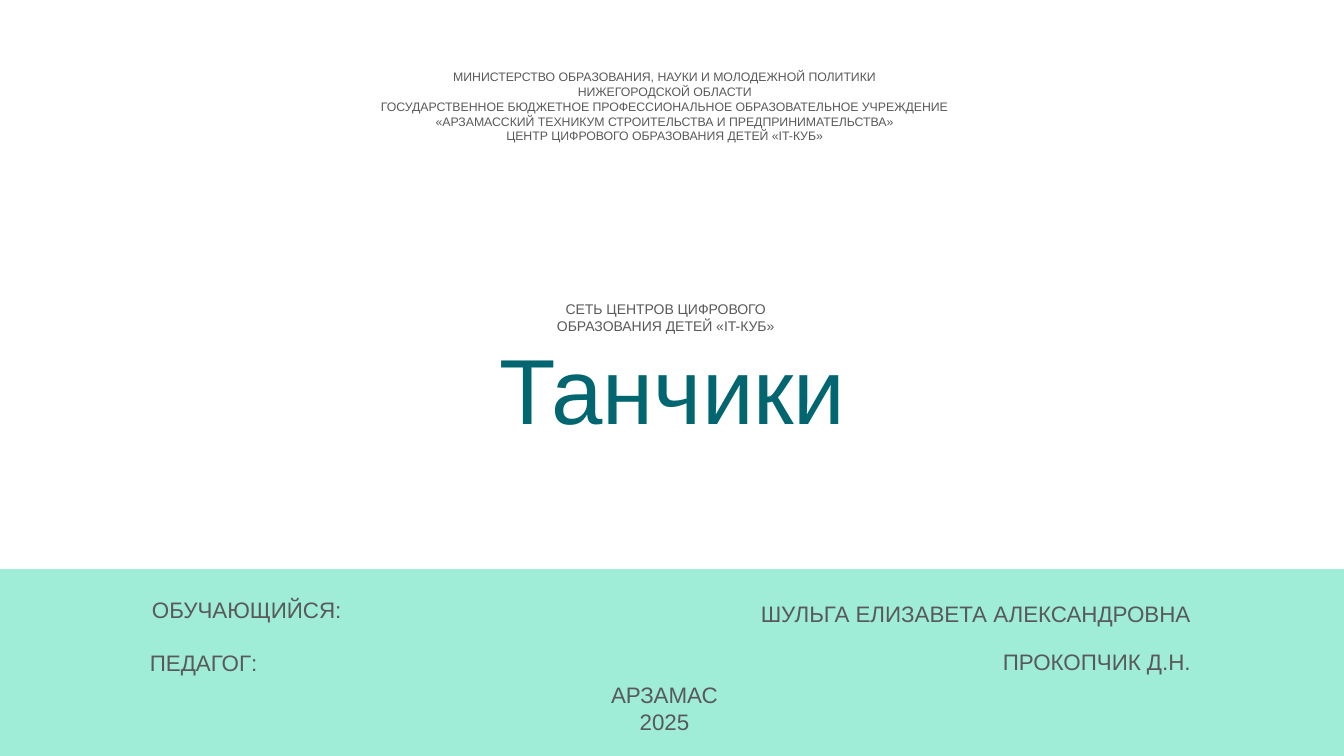
import dataclasses

import pptx
import pptx.dml.color
import pptx.enum.shapes
import pptx.enum.text
import pptx.util

Cm = pptx.util.Cm
Pt = pptx.util.Pt
Align = pptx.enum.text.PP_ALIGN

FONT = "Arial"
GREY, TEAL, MINT, WHITE = "595959", "026670", "9FEDD7", "FFFFFF"


@dataclasses.dataclass(frozen=True)
class Band:
    """A filled strip with its place in centimetres."""
    left: float
    top: float
    width: float
    height: float
    color: str
    line_width: float = 0


@dataclasses.dataclass(frozen=True)
class Label:
    """A text with its place in centimetres and its format."""
    text: str
    left: float
    top: float
    width: float
    height: float
    size: float = 16
    color: str = GREY
    align: Align = Align.CENTER


def rgb(value: str) -> pptx.dml.color.RGBColor:
    return pptx.dml.color.RGBColor.from_string(value)


def write_text(frame, text: str, *, size: float, color: str,
               align: Align) -> None:
    """Fill the frame: \\n starts a paragraph, \\v breaks a line."""
    frame.word_wrap = True
    frame.vertical_anchor = pptx.enum.text.MSO_ANCHOR.BOTTOM
    frame.text = text
    for paragraph in frame.paragraphs:
        paragraph.alignment = align
        for run in paragraph.runs:
            run.font.name = FONT
            run.font.size = Pt(size)
            run.font.color.rgb = rgb(color)


def draw_label(slide, label: Label) -> None:
    box = slide.shapes.add_textbox(Cm(label.left), Cm(label.top),
                                   Cm(label.width), Cm(label.height))
    write_text(box.text_frame, label.text, size=label.size, color=label.color,
               align=label.align)


def draw_band(slide, band: Band) -> None:
    strip = slide.shapes.add_shape(pptx.enum.shapes.MSO_SHAPE.RECTANGLE,
                                   Cm(band.left), Cm(band.top),
                                   Cm(band.width), Cm(band.height))
    strip.shadow.inherit = False
    strip.fill.solid()
    strip.fill.fore_color.rgb = rgb(band.color)
    if band.line_width:
        strip.line.color.rgb = rgb(band.color)
        strip.line.width = Pt(band.line_width)
    else:
        strip.line.fill.background()


# Footer band and the white strip under the project title
BANDS = [
    Band(0, 14.34, 33.87, 5.16, MINT),
    Band(2.87, 11.73, 29.16, 0.97, WHITE, line_width=1.25),
]

MINISTRY = "\n".join([
    "МИНИСТЕРСТВО ОБРАЗОВАНИЯ, НАУКИ И МОЛОДЕЖНОЙ ПОЛИТИКИ",
    "НИЖЕГОРОДСКОЙ ОБЛАСТИ",
    "ГОСУДАРСТВЕННОЕ БЮДЖЕТНОЕ ПРОФЕССИОНАЛЬНОЕ ОБРАЗОВАТЕЛЬНОЕ УЧРЕЖДЕНИЕ",
    "«АРЗАМАССКИЙ ТЕХНИКУМ СТРОИТЕЛЬСТВА И ПРЕДПРИНИМАТЕЛЬСТВА»",
    "ЦЕНТР ЦИФРОВОГО ОБРАЗОВАНИЯ ДЕТЕЙ «IT-КУБ»",
])

LABELS = [
    # Institution and project title
    Label("СЕТЬ ЦЕНТРОВ ЦИФРОВОГО\vОБРАЗОВАНИЯ ДЕТЕЙ «IT-КУБ»",
          12.94, 7.35, 7.67, 1.19, size=10),
    Label(MINISTRY, 8.93, 1.38, 15.65, 2.36, size=8.8),
    Label("Танчики", 1.85, 9.04, 30.2, 2.26, size=66, color=TEAL),
    # Student and teacher
    Label("ШУЛЬГА ЕЛИЗАВЕТА АЛЕКСАНДРОВНА", 16.04, 13.79, 14.22, 2.13,
          align=Align.RIGHT),
    Label("ПРОКОПЧИК Д.Н.", 23.71, 15.66, 6.55, 1.47, align=Align.RIGHT),
    Label("ОБУЧАЮЩИЙСЯ:", 3.58, 14.35, 6.55, 1.47, align=Align.LEFT),
    Label("ПЕДАГОГ:", 3.53, 15.68, 6.55, 1.47, align=Align.LEFT),
    # City and year
    Label("АРЗАМАС\n2025", 7.45, 17.17, 18.59, 1.47),
]


def main() -> None:
    deck = pptx.Presentation()
    deck.slide_width, deck.slide_height = Cm(33.87), Cm(19.05)
    slide = deck.slides.add_slide(deck.slide_layouts[6])
    slide.background.fill.solid()
    slide.background.fill.fore_color.rgb = rgb(WHITE)

    for band in BANDS:
        draw_band(slide, band)
    for label in LABELS:
        draw_label(slide, label)

    deck.save("out.pptx")


if __name__ == "__main__":
    main()
